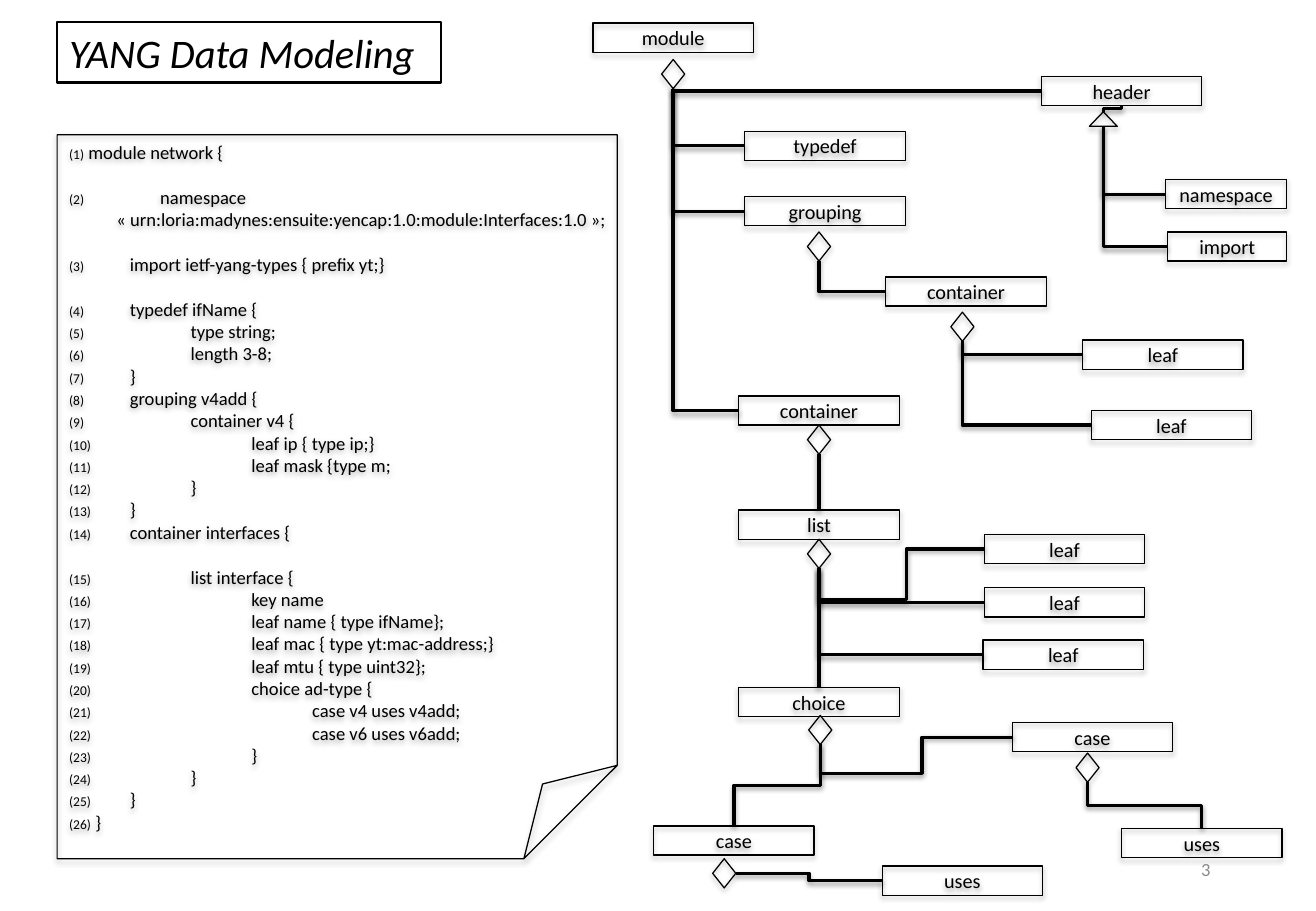
from dataclasses import dataclass, field

from lxml import etree
from pptx import Presentation
from pptx import util as u
from pptx.dml.color import RGBColor
from pptx.enum import shapes, text
from pptx.oxml.ns import qn

FONT, BLACK, GREY = "Calibri", "000000", "8C8C8C"
BOX_H, MARK_W = 0.24, 0.19
SHAPE = shapes.MSO_SHAPE
ALIGN = text.PP_ALIGN
MIDDLE = text.MSO_ANCHOR.MIDDLE
Point = tuple[float, float]


@dataclass
class Box:
    label: str
    left: float
    top: float
    width: float = 1.32

    @property
    def side(self) -> Point:
        return self.left, self.top + BOX_H / 2

    @property
    def head(self) -> Point:
        return self.left + self.width / 2, self.top


@dataclass
class Link:
    """A bent line to a box; bends is the number in the connector preset."""
    box: Box
    bends: int = 2
    adjust: tuple[float, ...] = ()
    to_head: bool = False
    sideways: bool = False


@dataclass
class Mark:
    """An aggregation diamond or inheritance triangle with its children."""
    center: float
    top: float
    links: list[Link] = field(default_factory=list)
    kind: SHAPE = SHAPE.DIAMOND
    width: float = MARK_W
    height: float = BOX_H

    @property
    def tip(self) -> Point:
        return self.center, self.top + self.height

    @property
    def right(self) -> Point:
        return self.center + self.width / 2, self.top + self.height / 2


def rgb(color: str) -> RGBColor:
    return RGBColor.from_string(color)


def style(p, size: float, color: str = BLACK) -> None:
    for r in p.runs:
        r.font.name, r.font.size = FONT, u.Pt(size)
        r.font.color.rgb = rgb(color)


def add_shadow(sp_pr, alpha: int, distance: float) -> None:
    effects = sp_pr.find(qn("a:effectLst"))
    if effects is None:
        effects = etree.SubElement(sp_pr, qn("a:effectLst"))
    shadow = etree.SubElement(effects, qn("a:outerShdw"), blurRad=str(u.Pt(3.1)),
                              dist=str(u.Pt(distance)), dir="5400000", rotWithShape="0")
    color = etree.SubElement(shadow, qn("a:srgbClr"), val=BLACK)
    etree.SubElement(color, qn("a:alpha"), val=str(alpha * 1000))


def outline(kind, left: float, top: float, width: float, height: float,
            weight: float = 0.75, shaded: bool = True):
    sp = s.shapes.add_shape(kind, *map(u.Inches, (left, top, width, height)))
    sp.fill.background()
    sp.line.color.rgb = rgb(BLACK)
    sp.line.width = u.Pt(weight)
    sp.shadow.inherit = False
    if shaded:
        add_shadow(sp._element.spPr, 35, 1.8)
    return sp


def draw_box(box: Box) -> None:
    tf = outline(SHAPE.RECTANGLE, box.left, box.top, box.width, BOX_H).text_frame
    tf.margin_top = tf.margin_bottom = 0
    tf.vertical_anchor = MIDDLE
    tf.text = box.label
    tf.paragraphs[0].alignment = ALIGN.CENTER
    style(tf.paragraphs[0], 12)


def bent_line(start: Point, end: Point, bends: int = 3,
              adjust: tuple[float, ...] = (), sideways: bool = False) -> None:
    (x1, y1), (x2, y2) = start, end
    dx, dy = x2 - x1, y2 - y1
    w, h = (abs(dx), abs(dy)) if sideways else (abs(dy), abs(dx))
    left, top = (x1 + x2 - w) / 2, (y1 + y2 - h) / 2
    line = s.shapes.add_connector(shapes.MSO_CONNECTOR.ELBOW,
                                  *map(u.Inches, (left, top, left + w, top + h)))
    line.line.color.rgb = rgb(BLACK)
    line.line.width = u.Pt(2)
    sp_pr = line._element.spPr
    if not sideways:
        # The preset starts sideways; turn it so that it starts downwards
        xfrm = sp_pr.find(qn("a:xfrm"))
        up, rightward = dy < 0, dx >= 0
        xfrm.set("rot", str((270 if rightward and not up else 90) * 60000))
        xfrm.set("flipH", str(int(rightward)))
        xfrm.set("flipV", str(int(up)))
    geom = sp_pr.find(qn("a:prstGeom"))
    geom.set("prst", f"bentConnector{bends}")
    guides = geom.find(qn("a:avLst"))
    for n, value in enumerate(adjust, 1):
        etree.SubElement(guides, qn("a:gd"), name=f"adj{n}",
                         fmla=f"val {round(value * 100000)}")
    add_shadow(sp_pr, 38, 1.6)


def draw_mark(mark: Mark) -> None:
    outline(mark.kind, mark.center - mark.width / 2, mark.top, mark.width, mark.height)
    for link in mark.links:
        draw_box(link.box)
        bent_line(mark.right if link.sideways else mark.tip,
                  link.box.head if link.to_head else link.box.side,
                  link.bends, link.adjust, link.sideways)


# Schema tree: each mark hangs under its parent box and owns its children
module = Box("module", 4.88, 0.19)
header = Box("header", 8.57, 0.63)
inherit = Mark(9.08, 0.92, [Link(Box("namespace", 9.59, 1.48, 1)),
                            Link(Box("import", 9.61, 1.91, 0.98))],
               SHAPE.ISOSCELES_TRIANGLE, 0.23, 0.12)
MARKS = [
    Mark(5.54, 0.49, [Link(header), Link(Box("typedef", 6.13, 1.08)),
                      Link(Box("grouping", 6.13, 1.62)),
                      Link(Box("container", 6.08, 3.26))]),
    inherit,
    Mark(6.74, 1.91, [Link(Box("container", 7.29, 2.28))]),
    Mark(7.92, 2.57, [Link(Box("leaf", 8.91, 2.8)), Link(Box("leaf", 8.98, 3.38))]),
    Mark(6.74, 3.5, [Link(Box("list", 6.08, 4.2), 3, to_head=True)]),
    Mark(6.74, 4.44, [Link(Box("leaf", 8.1, 4.4), 4, (-1.59, 0.53)),
                      Link(Box("leaf", 8.1, 4.84)), Link(Box("leaf", 8.09, 5.27)),
                      Link(Box("choice", 6.08, 5.66), 3, to_head=True)]),
    Mark(6.75, 5.89, [Link(Box("case", 8.33, 5.95), 4, (-3.98, 0.53)),
                      Link(Box("case", 5.38, 6.8), 3, to_head=True)]),
    Mark(8.95, 6.2, [Link(Box("uses", 9.23, 6.82), 3, to_head=True)]),
    Mark(5.96, 7.07, [Link(Box("uses", 7.26, 7.13), 3, sideways=True)]),
]

# Listing: tab depth and statement, numbered from 1
CODE = [
    (0, " module network {"), (2, "namespace "),
    (1, "import ietf-yang-types { prefix yt;}"),
    (1, "typedef ifName { "), (2, "type string;"), (2, "length 3-8;"), (1, "}"),
    (1, "grouping v4add {"), (2, "container v4 {"), (3, "leaf ip { type ip;}"),
    (3, "leaf mask {type m;"), (2, "}"), (1, "}"),
    (1, "container interfaces {"), (2, "list interface {"), (3, "key name"),
    (3, "leaf name { type ifName};"), (3, "leaf mac { type yt:mac-address;}"),
    (3, "leaf mtu { type uint32};"), (3, "choice ad-type {"),
    (4, "case v4 uses v4add;"), (4, "case v6 uses v6add;"),
    (3, "}"), (2, "}"), (1, "}"), (0, " }"),
]
URN = "«\u00a0urn:loria:madynes:ensuite:yencap:1.0:module:Interfaces:1.0\u00a0»;"
NAMESPACE_LINE = 2
SPACED_LINES = {2, 3, 4, 15}


def indent(p, left: float, first: float) -> None:
    p_pr = p._p.get_or_add_pPr()
    p_pr.set("marL", str(u.Inches(left)))
    p_pr.set("indent", str(u.Inches(first)))


def write_code(tf) -> None:
    tf.word_wrap = True
    tf.vertical_anchor = text.MSO_ANCHOR.TOP
    tf.margin_right = u.Inches(0.05)
    for n, (depth, statement) in enumerate(CODE, 1):
        p = tf.paragraphs[0] if n == 1 else tf.add_paragraph()
        p.alignment = ALIGN.LEFT
        p._p.get_or_add_pPr().set("defTabSz", str(u.Inches(0.5)))
        p.add_run().text = f"({n})"
        p.add_run().text = "\t" * depth + statement
        style(p, 11)
        p.runs[0].font.size = u.Pt(8)
        if n in SPACED_LINES:
            p.space_before = u.Pt(13.4)
        if n == NAMESPACE_LINE:
            indent(p, 0.25, -0.25)
            p = tf.add_paragraph()
            p.text = URN
            p.alignment = ALIGN.LEFT
            indent(p, 0.39, 0)
            style(p, 11)


prs = Presentation()
prs.slide_width, prs.slide_height = u.Inches(10.83), u.Inches(7.5)
s = prs.slides.add_slide(prs.slide_layouts[6])

# Code listing
write_code(outline(SHAPE.FOLDED_CORNER, 0.47, 1.11, 4.61, 5.96).text_frame)

# Tree
draw_box(module)
for mark in MARKS:
    draw_mark(mark)
bent_line((header.head[0], header.top + BOX_H), (inherit.center, inherit.top))

# Slide number
tf = s.shapes.add_textbox(*map(u.Inches, (8, 6.99, 2.06, 0.33))).text_frame
tf.word_wrap, tf.vertical_anchor = True, MIDDLE
tf.text = "3"
tf.paragraphs[0].alignment = ALIGN.RIGHT
style(tf.paragraphs[0], 11, GREY)

# Title
tf = outline(SHAPE.RECTANGLE, 0.47, 0.18, 3.16, 0.5, 1.5, False).text_frame
tf.word_wrap, tf.vertical_anchor = True, text.MSO_ANCHOR.TOP
tf.text = "YANG Data Modeling"
p = tf.paragraphs[0]
p.alignment = ALIGN.LEFT
style(p, 24)
p.runs[0].font.italic = True

prs.save("out.pptx")
